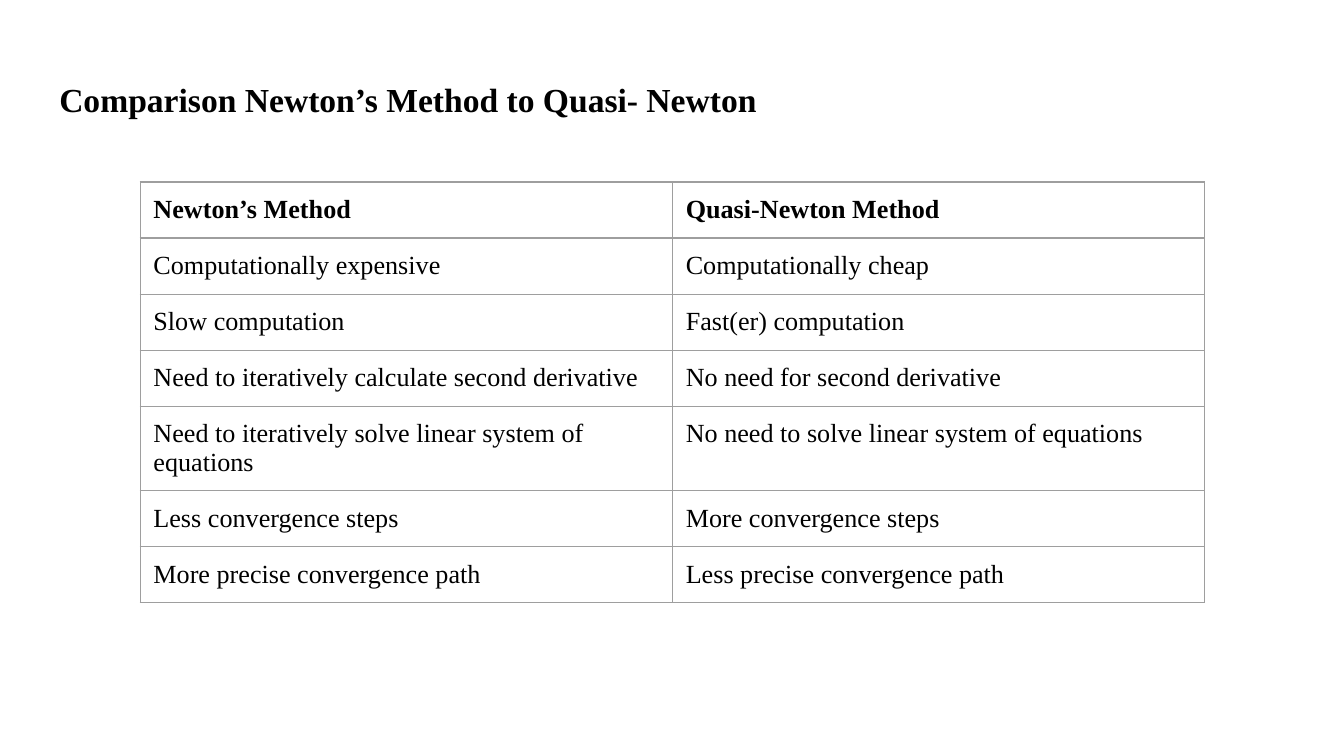
import pptx
import pptx.dml.color
import pptx.enum.text
import pptx.oxml
import pptx.oxml.ns
import pptx.util
from pptx.util import Cm

ROWS = [
    ("Newton’s Method", "Quasi-Newton Method"),
    ("Computationally expensive", "Computationally cheap"),
    ("Slow computation", "Fast(er) computation"),
    ("Need to iteratively calculate second derivative", "No need for second derivative"),
    ("Need to iteratively solve linear system of equations",
     "No need to solve linear system of equations"),
    ("Less convergence steps", "More convergence steps"),
    ("More precise convergence path", "Less precise convergence path"),
]


def color(hex_code):
    return pptx.dml.color.RGBColor.from_string(hex_code)


class SlideBuilder:
    font_name = "Times New Roman"
    ink = "000000"
    rule = "9E9E9E"
    rule_width = pptx.util.Pt(0.75)
    inset = Cm(0.25)

    def __init__(self, slide):
        self.slide = slide

    def format_text(self, frame, size, bold):
        frame.word_wrap = True
        frame.vertical_anchor = pptx.enum.text.MSO_ANCHOR.TOP
        for paragraph in frame.paragraphs:
            paragraph.alignment = pptx.enum.text.PP_ALIGN.LEFT
            font = paragraph.font
            font.name, font.size, font.bold = self.font_name, pptx.util.Pt(size), bold
            font.color.rgb = color(self.ink)

    def set_insets(self, box):
        box.margin_left = box.margin_right = self.inset
        box.margin_top = box.margin_bottom = self.inset

    def title(self, text, left, top, width, height):
        title = self.slide.shapes.title
        title.left, title.top, title.width, title.height = left, top, width, height
        frame = title.text_frame
        frame.text = text
        frame.auto_size = pptx.enum.text.MSO_AUTO_SIZE.NONE
        self.set_insets(frame)
        self.format_text(frame, 18, True)

    def borders(self, cell):
        properties = cell._tc.get_or_add_tcPr()
        for side in ("lnL", "lnR", "lnT", "lnB"):
            properties.append(pptx.oxml.parse_xml(
                f'<a:{side} {pptx.oxml.ns.nsdecls("a")} w="{self.rule_width}">'
                f'<a:solidFill><a:srgbClr val="{self.rule}"/></a:solidFill></a:{side}>'))

    def table(self, rows, left, top, column_width, row_height):
        columns = len(rows[0])
        table = self.slide.shapes.add_table(
            len(rows), columns, left, top,
            column_width * columns, row_height * len(rows)).table
        table.first_row = table.horz_banding = False
        for r, texts in enumerate(rows):
            for c, text in enumerate(texts):
                cell = table.cell(r, c)
                cell.text = text
                self.set_insets(cell)
                self.format_text(cell.text_frame, 14, r == 0)
                cell.vertical_anchor = pptx.enum.text.MSO_ANCHOR.TOP
                self.borders(cell)
                cell.fill.background()


def main():
    deck = pptx.Presentation()
    deck.slide_width, deck.slide_height = Cm(25.4), Cm(14.29)
    builder = SlideBuilder(deck.slides.add_slide(deck.slide_layouts[5]))

    # Heading
    builder.title("Comparison Newton’s Method to Quasi- Newton",
                  Cm(0.87), Cm(1.24), Cm(23.67), Cm(1.6))

    # Comparison of the two methods
    builder.table(ROWS, Cm(2.65), Cm(3.44), Cm(10.06), Cm(1.06))

    deck.save("out.pptx")


if __name__ == "__main__":
    main()
